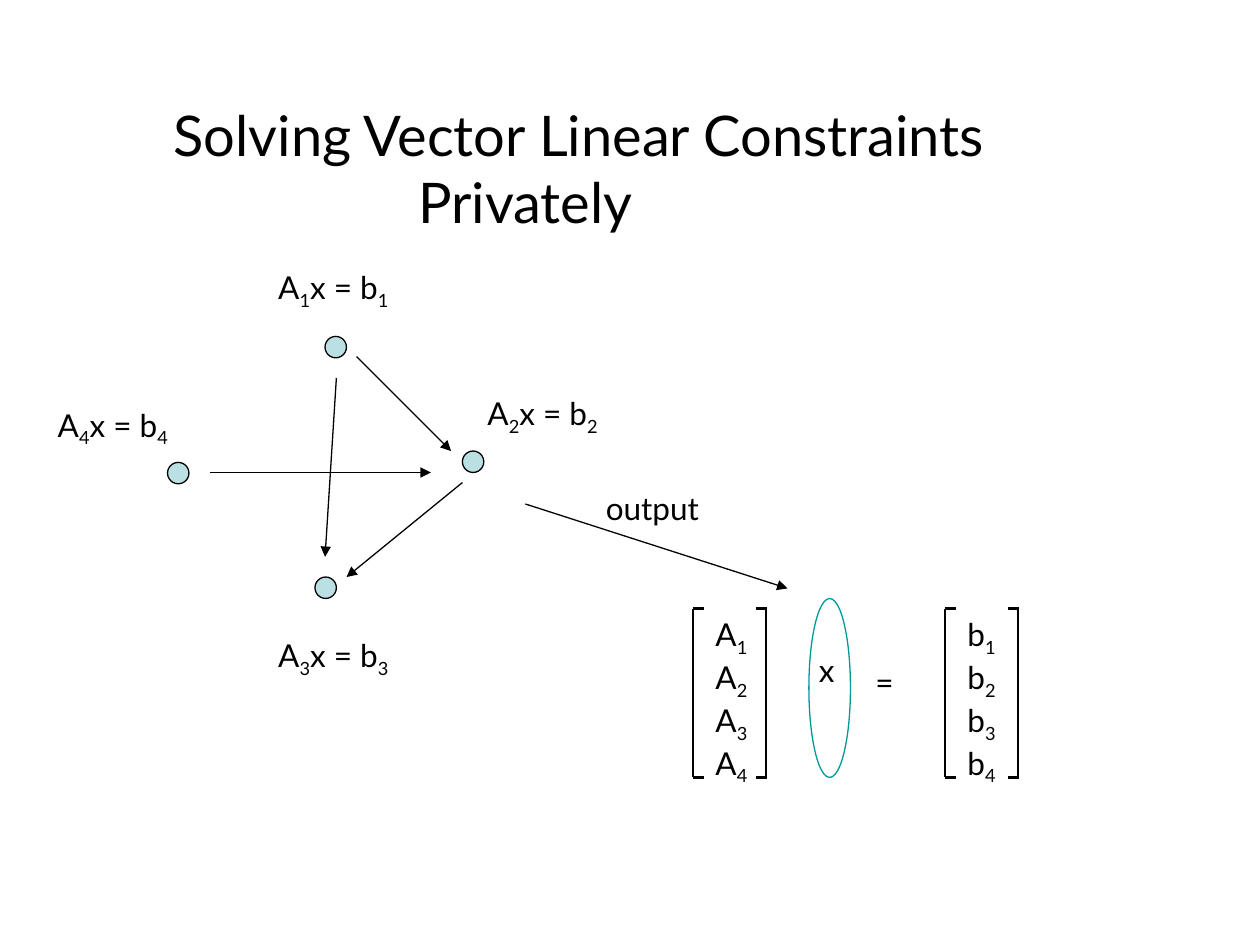
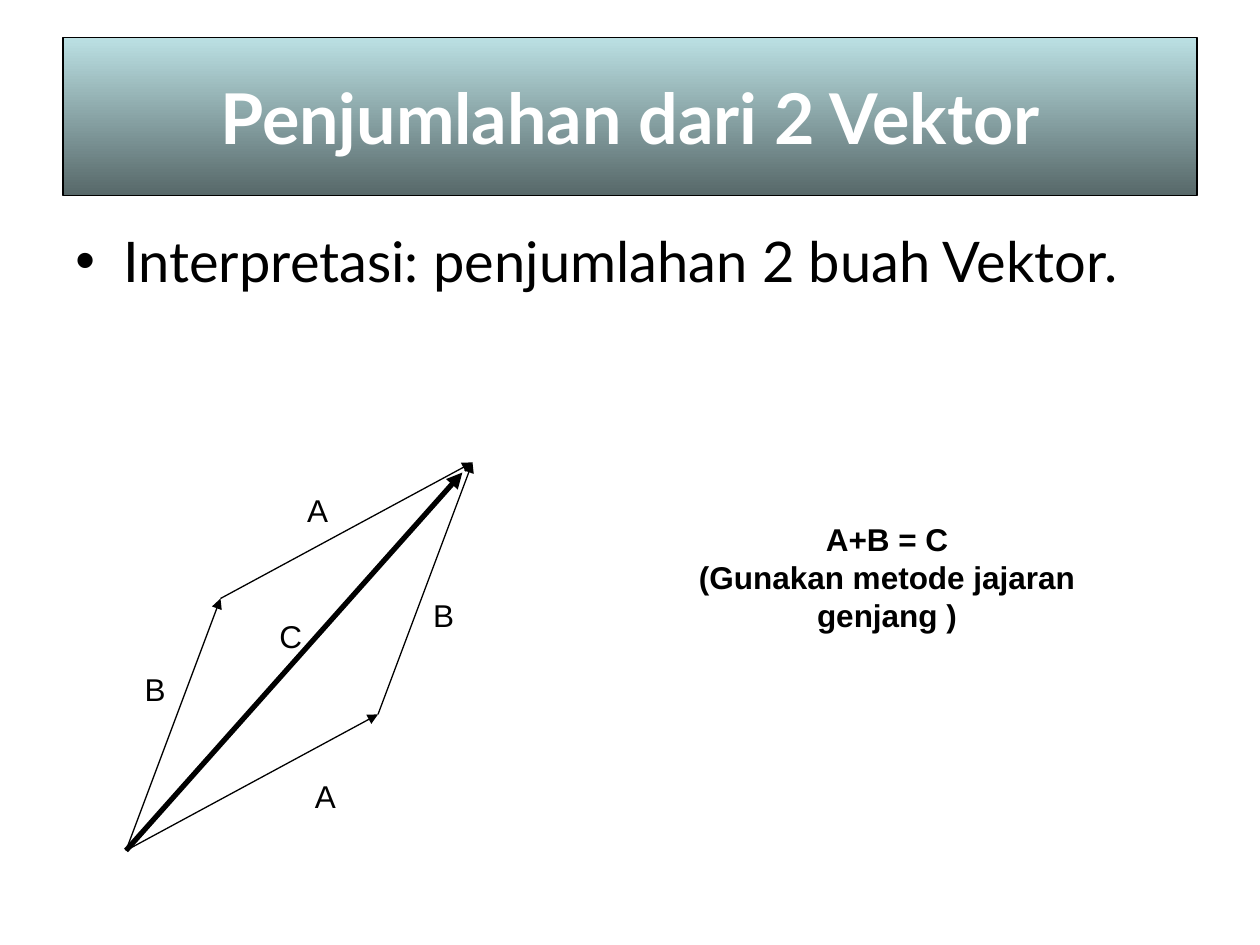
import pptx
import pptx.util
import pptx.dml.color
import pptx.enum.shapes
import pptx.enum.text
import pptx.oxml
import pptx.oxml.ns
import lxml.etree

Inches = pptx.util.Inches
Pt = pptx.util.Pt
SHAPE = pptx.enum.shapes.MSO_SHAPE
ALIGN = pptx.enum.text.PP_ALIGN
ANCHOR = pptx.enum.text.MSO_ANCHOR
qn = pptx.oxml.ns.qn


def color(code):
    return pptx.dml.color.RGBColor.from_string(code)


class Board:
    ink = "000000"
    pale = "BBE0E3"
    dark = "576869"
    teal = "009999"
    white = "FFFFFF"
    main = "Lato"
    plain = "Arial"

    def __init__(self):
        self.deck = pptx.Presentation()
        self.deck.slide_width = Inches(10)
        self.deck.slide_height = Inches(7.5)
        self.slide = None

    def start(self):
        self.slide = self.deck.slides.add_slide(self.deck.slide_layouts[6])

    def fill_text(self, frame, lines, size=18, font=main, ink=ink, bold=False, align=ALIGN.LEFT):
        for index, line in enumerate(lines):
            para = frame.paragraphs[0] if index == 0 else frame.add_paragraph()
            para.alignment = align
            first, *rest = line.split("_")
            pieces = [(first, False)]
            for part in rest:
                pieces += [(part[0], True), (part[1:], False)]
            for words, low in pieces:
                if not words:
                    continue
                run = para.add_run()
                run.text = words
                run.font.size = Pt(size)
                run.font.name = font
                run.font.bold = bold
                run.font.color.rgb = color(ink)
                if low:
                    run._r.get_or_add_rPr().set("baseline", "-25000")

    def text(self, x, y, wide, high, *lines, wrap=False, **style):
        box = self.slide.shapes.add_textbox(Inches(x), Inches(y), Inches(wide), Inches(high))
        box.text_frame.word_wrap = wrap
        self.fill_text(box.text_frame, lines, **style)
        return box.text_frame

    def indent(self, para, left, first=0.0):
        props = para._p.get_or_add_pPr()
        props.set("marL", str(Inches(left)))
        props.set("indent", str(Inches(first)))
        return props

    def bullet(self, para):
        props = self.indent(para, 0.38, -0.38)
        font = lxml.etree.SubElement(props, qn("a:buFont"))
        font.set("typeface", self.plain)
        mark = lxml.etree.SubElement(props, qn("a:buChar"))
        mark.set("char", "•")

    def shape(self, kind, x, y, wide, high, fill=None, line=ink):
        item = self.slide.shapes.add_shape(kind, Inches(x), Inches(y), Inches(wide), Inches(high))
        item.shadow.inherit = False
        if fill:
            item.fill.solid()
            item.fill.fore_color.rgb = color(fill)
        else:
            item.fill.background()
        item.line.color.rgb = color(line)
        item.line.width = Pt(0.75)
        return item

    def banner(self, title):
        band = self.shape(SHAPE.RECTANGLE, 0.5, 0.3, 9, 1.25)
        band.fill.gradient()
        band.fill.gradient_angle = 270
        for stop, code in zip(band.fill.gradient_stops, (self.pale, self.dark)):
            stop.color.rgb = color(code)
        frame = band.text_frame
        frame.word_wrap = True
        frame.vertical_anchor = ANCHOR.MIDDLE
        self.fill_text(frame, [title], size=40, ink=self.white, bold=True, align=ALIGN.CENTER)

    def line(self, start, end, width=0.75, arrow=False):
        link = self.slide.shapes.add_connector(
            pptx.enum.shapes.MSO_CONNECTOR.STRAIGHT, *map(Inches, start + end))
        link.line.color.rgb = color(self.ink)
        link.line.width = Pt(width)
        props = link._element.spPr
        if arrow:
            tail = lxml.etree.SubElement(props.find(qn("a:ln")), qn("a:tailEnd"))
            tail.set("type", "triangle")
        lxml.etree.SubElement(props, qn("a:effectLst"))

    def matrix(self, x, letter):
        top, base = 4.83, 6.17
        rows = [f"{letter}_{row}" for row in range(1, 5)]
        self.text(x + 0.08, top, 0.46, 1.47, *rows, wrap=True)
        for side in (x, x + 0.58):
            self.line((side, top), (side, base), 1.5)
        for tick in (x, x + 0.5):
            for y in (top, base):
                self.line((tick, y), (tick + 0.09, y), 1.5)


def solving(board):
    board.start()
    title = board.text(1.28, 0.75, 7.11, 1.17, "Solving Vector Linear Constraints",
                       "Privately", wrap=True, size=32)
    board.indent(title.paragraphs[1], 1.94)
    nodes = [(2.58, 2.67, 2.11, 2.08), (3.67, 3.58, 3.77, 3.08),
             (2.5, 4.58, 2.11, 5), (1.33, 3.67, 0.36, 3.17)]
    for num, (x, y, left, top) in enumerate(nodes, 1):
        board.shape(SHAPE.OVAL, x, y, 0.17, 0.17, board.pale)
        board.text(left, top, 1.08, 0.44, f"A_{num}x = b_{num}")
    arrows = [((2.83, 2.83), (3.58, 3.58)), ((3.67, 3.83), (2.75, 4.58)),
              ((2.67, 3), (2.58, 4.42)), ((1.67, 3.75), (3.42, 3.75)),
              ((4.17, 4), (6.25, 4.67))]
    for start, end in arrows:
        board.line(start, end, arrow=True)
    board.text(4.71, 3.83, 0.99, 0.4, "output")
    board.text(6.85, 5.21, 0.34, 0.4, "=")
    board.text(6.4, 5.12, 0.33, 0.4, "x")
    board.matrix(5.5, "A")
    board.matrix(7.5, "b")
    board.shape(SHAPE.OVAL, 6.42, 4.75, 0.33, 1.42, line=board.teal)


def adding(board):
    board.start()
    board.banner("Penjumlahan dari 2 Vektor")
    body = board.text(0.5, 1.75, 9, 4.95, "Interpretasi: penjumlahan 2 buah Vektor.",
                      wrap=True, size=32)
    body.paragraphs[0].space_before = Pt(8)
    board.bullet(body.paragraphs[0])
    base, right, left, peak = (1, 6.75), (3, 5.67), (1.75, 4.75), (3.75, 3.67)
    for start, end in [(base, right), (base, left), (left, peak), (right, peak)]:
        board.line(start, end, arrow=True)
    board.line(base, (3.67, 3.75), 3, arrow=True)
    labels = [("A", 2.4, 6.12), ("B", 3.34, 4.68), ("A", 2.34, 3.85),
              ("B", 1.05, 5.27), ("C", 2.12, 4.85)]
    for name, x, y in labels:
        board.text(x, y, 0.36, 0.4, name, font=board.plain)
    board.text(5.25, 4.08, 3.58, 1, "A+B = C", "(Gunakan metode jajaran genjang )",
               wrap=True, font=board.plain, bold=True, align=ALIGN.CENTER)


def main():
    board = Board()
    solving(board)
    adding(board)
    board.deck.save("out.pptx")


if __name__ == "__main__":
    main()
